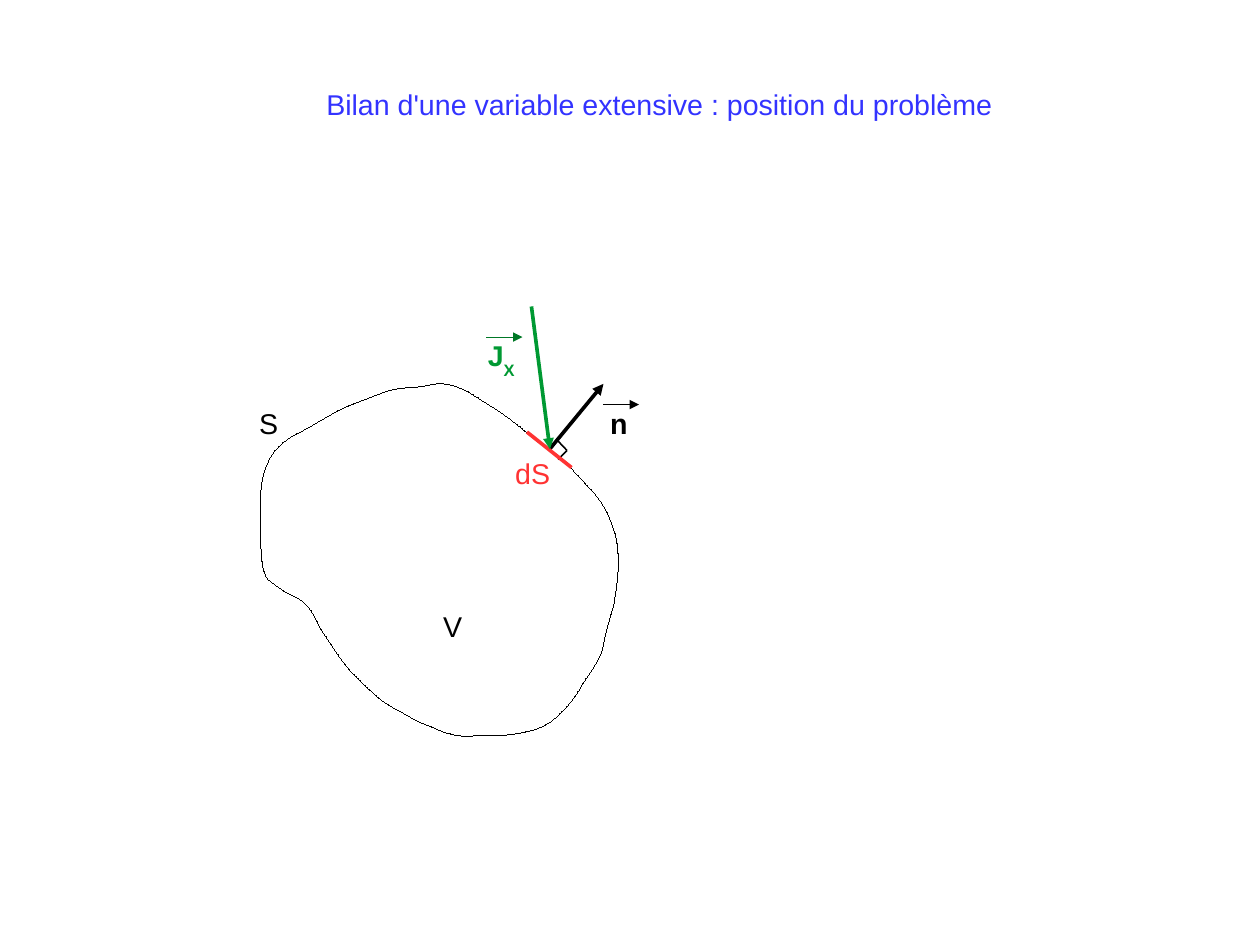
import pptx
import pptx.util
import pptx.dml.color
import pptx.enum.shapes
import pptx.enum.text
import pptx.oxml
import lxml.etree

Cm, Pt = pptx.util.Cm, pptx.util.Pt
RGB = pptx.dml.color.RGBColor.from_string
NS = "http://schemas.openxmlformats.org/drawingml/2006/main"
COLORS = {"black": "000000", "red": "FF3333", "green": "009933",
          "dark_green": "007826", "blue": "3333FF"}

prs = pptx.Presentation()
prs.slide_width, prs.slide_height = Cm(28), Cm(21)
s = prs.slides.add_slide(prs.slide_layouts[5])


def write(sp, runs, color, bold=False):
    """Fill a text shape with (text, baseline) runs."""
    tf = sp.text_frame
    tf.word_wrap = True
    tf.vertical_anchor = pptx.enum.text.MSO_ANCHOR.TOP
    tf.margin_left = tf.margin_right = Cm(0.25)
    tf.margin_top = tf.margin_bottom = Cm(0.13)
    p = tf.paragraphs[0]
    p.alignment = pptx.enum.text.PP_ALIGN.LEFT
    for text, baseline in runs:
        r = p.add_run()
        r.text = text
        r.font.name, r.font.size, r.font.bold = "Arial", Pt(18), bold
        r.font.color.rgb = RGB(COLORS[color])
        if baseline:
            r.font._element.set("baseline", str(baseline))


def style_line(sp, color, width):
    """Colour a line; the width is written even when it is a hairline (0)."""
    sp.line.color.rgb = RGB(COLORS[color])
    ln = sp.line._get_or_add_ln()
    ln.set("w", str(int(Pt(width))))
    return ln


# Title
title = s.shapes.title
title.left, title.top, title.width, title.height = Cm(7), Cm(1.8), Cm(16), Cm(0.97)
write(title, [("Bilan d'une variable extensive : position du problème", 0)], "blue")

# Closed surface S: each curve is two control points and an end point (cm)
start = (5.97, 12.9)
curves = [
    [(5.79, 12.65), (5.82, 12.32), (5.79, 12.04)],
    [(5.77, 11.73), (5.79, 11.43), (5.79, 11.15)],
    [(5.79, 10.85), (5.82, 10.54), (5.97, 10.24)],
    [(6.12, 9.91), (6.4, 9.73), (6.71, 9.58)],
    [(7.01, 9.42), (7.32, 9.22), (7.62, 9.07)],
    [(7.95, 8.94), (8.28, 8.81), (8.61, 8.69)],
    [(8.92, 8.59), (9.22, 8.64), (9.53, 8.56)],
    [(9.83, 8.48), (10.13, 8.56), (10.41, 8.71)],
    [(10.69, 8.89), (11, 9.07), (11.28, 9.27)],
    [(11.58, 9.5), (11.86, 9.75), (12.17, 9.96)],
    [(12.52, 10.19), (12.78, 10.49), (13.06, 10.8)],
    [(13.28, 11.02), (13.49, 11.3), (13.59, 11.63)],
    [(13.72, 11.94), (13.74, 12.22), (13.74, 12.52)],
    [(13.74, 12.83), (13.69, 13.13), (13.64, 13.44)],
    [(13.56, 13.74), (13.46, 14), (13.41, 14.33)],
    [(13.36, 14.63), (13.13, 14.91), (12.95, 15.19)],
    [(12.78, 15.52), (12.52, 15.82), (12.22, 16.05)],
    [(11.96, 16.23), (11.66, 16.28), (11.33, 16.33)],
    [(11.05, 16.36), (10.74, 16.33), (10.46, 16.36)],
    [(10.13, 16.38), (9.86, 16.28), (9.58, 16.15)],
    [(9.27, 16.05), (8.99, 15.85), (8.69, 15.7)],
    [(8.38, 15.52), (8.13, 15.24), (7.87, 14.99)],
    [(7.59, 14.71), (7.42, 14.4), (7.21, 14.1)],
    [(7.01, 13.82), (6.93, 13.41), (6.58, 13.28)]]
ends = [curve[-1] for curve in curves] + [(6.3, 13.13), (5.99, 12.9)]
builder = s.shapes.build_freeform(*map(Cm, start))
builder.add_line_segments([(Cm(x), Cm(y)) for x, y in ends], close=True)
surface = builder.convert_to_shape()
surface.shadow.inherit = False
surface.fill.background()
style_line(surface, "black", 0)

# Turn the segments into Bézier curves
segments = list(surface._element.iter(f"{{{NS}}}lnTo"))
for segment, curve in zip(segments, curves):
    segment.tag = f"{{{NS}}}cubicBezTo"
    for i, (x, y) in enumerate(curve[:2]):
        pt = lxml.etree.Element(f"{{{NS}}}pt", x=str(Cm(x) - surface.left),
                                y=str(Cm(y) - surface.top))
        segment.insert(i, pt)

# Lines and vectors: start, end, colour, width, arrowhead
lines = [
    ((12.19, 10.01), (13.41, 8.53), "black", 2.3, True),
    ((12.4, 9.8), (12.6, 10.01), "black", 1, False),
    ((12.6, 10.01), (12.4, 10.21), "black", 1, False),
    ((11.71, 9.6), (12.7, 10.39), "red", 2.3, False),
    ((13.41, 8.99), (14.2, 8.99), "black", 0, True),
    ((11.81, 6.81), (12.22, 9.98), "green", 2.3, True),
    ((10.8, 7.49), (11.61, 7.49), "dark_green", 0, True)]
for begin, end, color, width, arrow in lines:
    line = s.shapes.add_connector(pptx.enum.shapes.MSO_CONNECTOR.STRAIGHT,
                                  *map(Cm, begin + end))
    ln = style_line(line, color, width)
    if arrow:
        ln.append(pptx.oxml.parse_xml(f'<a:tailEnd xmlns:a="{NS}" type="triangle"/>'))
    line._element.spPr.append(pptx.oxml.parse_xml(f'<a:effectLst xmlns:a="{NS}"/>'))

# Labels: left, top, width, height, runs, colour, bold
labels = [
    (5.51, 8.89, 1.19, 0.97, [("S", 0)], "black", False),
    (11.2, 10.01, 1.4, 0.97, [("dS", 0)], "red", False),
    (13.31, 8.89, 1.19, 0.97, [("n", 0)], "black", True),
    (9.6, 13.41, 2.21, 0.97, [("V", 0)], "black", False),
    (10.59, 7.39, 1.19, 1.14, [("J", 0), ("X", -33000)], "green", True)]
for left, top, width, height, runs, color, bold in labels:
    box = s.shapes.add_textbox(Cm(left), Cm(top), Cm(width), Cm(height))
    write(box, runs, color, bold)

prs.save("out.pptx")
